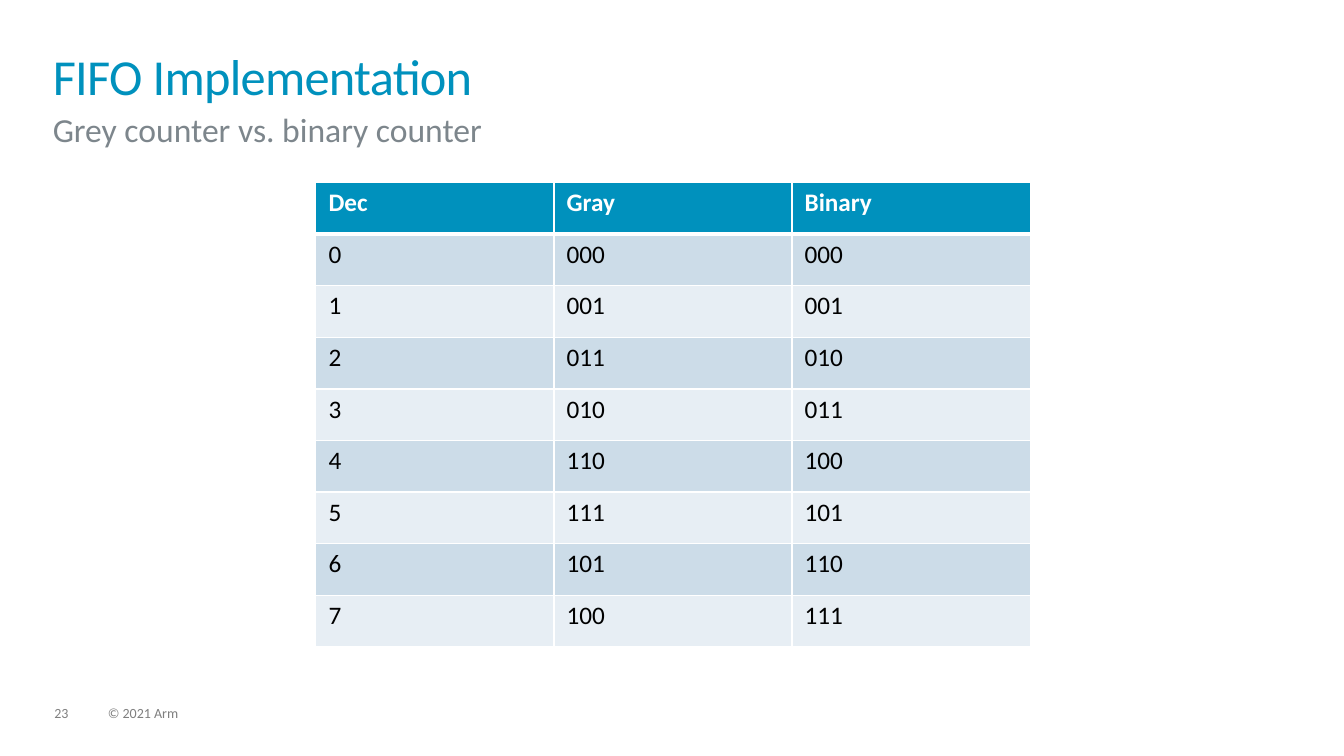
from lxml import etree
from pptx import Presentation, util as u
from pptx.dml.color import RGBColor
from pptx.enum import text
from pptx.oxml import ns


def colour(value):
    return RGBColor.from_string(value)


class CounterSlide:
    """Hold the slide and its style, and add titles, notes and tables to it."""

    font = "Calibri"
    accent, subtitle_grey, footer_grey = "0091BD", "7D868C", "7F7F7F"
    bands = "CCDCE8", "E7EEF4"

    def __init__(self, deck):
        self.slide = deck.slides.add_slide(deck.slide_layouts[1])

    def style(self, paragraph, size, ink, bold=False):
        font = paragraph.font
        font.name, font.size, font.bold = self.font, u.Pt(size), bold
        font.color.rgb = colour(ink)

    def fill_frame(self, shape, box, words, anchor=text.MSO_ANCHOR.TOP):
        shape.left, shape.top, shape.width, shape.height = map(u.Cm, box)
        frame = shape.text_frame
        frame.margin_left = frame.margin_right = 0
        frame.margin_top = frame.margin_bottom = 0
        frame.word_wrap = True
        frame.auto_size = text.MSO_AUTO_SIZE.NONE
        frame.vertical_anchor = anchor
        paragraph = frame.paragraphs[0]
        paragraph.text = words
        paragraph.alignment = text.PP_ALIGN.LEFT
        paragraph.space_before = u.Pt(0)
        return paragraph

    def title(self, words, box):
        heading = self.fill_frame(self.slide.shapes.title, box, words,
                                  text.MSO_ANCHOR.MIDDLE)
        heading.line_spacing = 0.85
        self.style(heading, 36, self.accent)
        heading.runs[0]._r.get_or_add_rPr().set("spc", "-50")

    def subtitle(self, words, box):
        subheading = self.fill_frame(self.slide.placeholders[1], box, words)
        properties = subheading._p.get_or_add_pPr()
        properties.set("marL", "0")
        properties.set("indent", "0")
        etree.SubElement(properties, ns.qn("a:buNone"))
        self.style(subheading, 24, self.subtitle_grey)

    def footer(self, words, box):
        holder = self.slide.shapes.add_textbox(0, 0, 0, 0)
        note = self.fill_frame(holder, box, words)
        note.line_spacing = 0.9
        self.style(note, 10, self.footer_grey)

    def border(self, cell, side, points):
        line = etree.SubElement(cell._tc.get_or_add_tcPr(), ns.qn(f"a:ln{side}"),
                                w=str(u.Pt(points)))
        fill = etree.SubElement(line, ns.qn("a:solidFill"))
        etree.SubElement(fill, ns.qn("a:srgbClr"), val="FFFFFF")

    def table(self, rows, left, top, column_width, row_height):
        columns = len(rows[0])
        table = self.slide.shapes.add_table(
            len(rows), columns, u.Cm(left), u.Cm(top),
            u.Cm(column_width * columns), u.Cm(row_height * len(rows))).table
        for row_index, row in enumerate(rows):
            header = row_index == 0
            for column_index, value in enumerate(row):
                cell = table.cell(row_index, column_index)
                cell.margin_left = cell.margin_right = u.Cm(0.32)
                cell.margin_top = cell.margin_bottom = u.Cm(0.13)
                for side in "LRTB":
                    thick = header and side == "B" or row_index == 1 and side == "T"
                    self.border(cell, side, 3 if thick else 1)
                cell.fill.solid()
                cell.fill.fore_color.rgb = colour(
                    self.accent if header else self.bands[(row_index - 1) % 2])
                cell.text = value
                self.style(cell.text_frame.paragraphs[0], 18,
                           "FFFFFF" if header else "000000", header)


def main():
    deck = Presentation()
    deck.slide_width, deck.slide_height = u.Cm(33.87), u.Cm(19.05)
    page = CounterSlide(deck)
    page.footer("23", (1.37, 17.8, 0.86, 0.38))
    page.footer("© 2021 Arm", (2.72, 17.8, 12.88, 0.38))
    page.title("FIFO Implementation", (1.33, 1.32, 31.2, 1.42))
    page.subtitle("Grey counter vs. binary counter", (1.33, 2.74, 31.2, 0.97))
    counts = [(str(n), f"{n ^ n >> 1:03b}", f"{n:03b}") for n in range(8)]
    page.table([("Dec", "Gray", "Binary"), *counts], 7.96, 4.6, 6, 1.3)
    deck.save("out.pptx")


if __name__ == "__main__":
    main()
